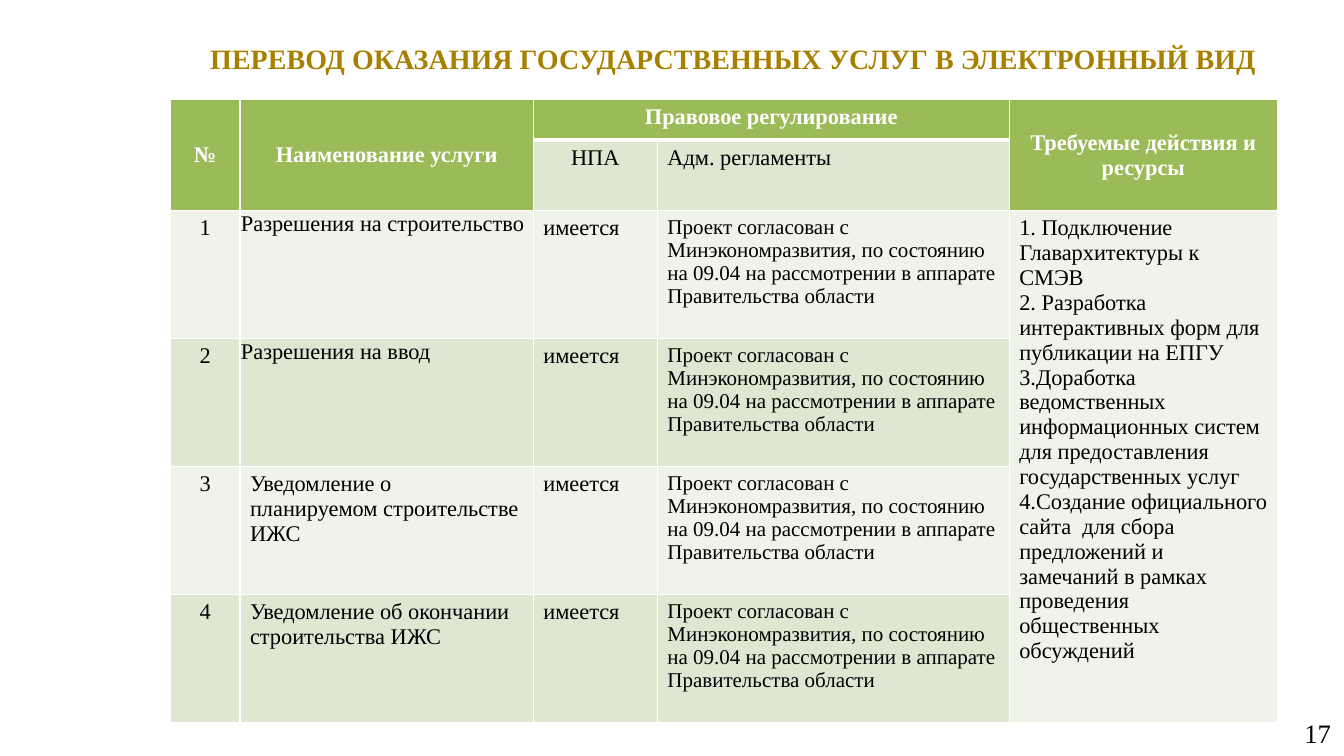
from dataclasses import dataclass

from lxml import etree
from pptx import Presentation
from pptx.dml.color import RGBColor
from pptx.enum.text import MSO_ANCHOR, PP_ALIGN
from pptx.oxml.ns import qn
from pptx.util import Inches, Pt

LEFT, CENTER, RIGHT = PP_ALIGN.LEFT, PP_ALIGN.CENTER, PP_ALIGN.RIGHT
TOP, MIDDLE = MSO_ANCHOR.TOP, MSO_ANCHOR.MIDDLE


@dataclass(frozen=True)
class Theme:
    font: str = "Times New Roman"
    gold: str = "A88000"
    green: str = "9BBB59"
    light: str = "EFF3EA"
    dark: str = "DEE7D1"
    white: str = "FFFFFF"
    black: str = "000000"
    title: int = 20
    number: int = 19
    body: int = 16
    small: int = 15
    rule: int = 1
    thick_rule: int = 3


T = Theme()
WIDTH, HEIGHT = 13.33, 7.5
COLUMNS = [0.69, 2.91, 1.23, 3.49, 2.66]
HEADER_ROWS = [0.4, 0.7]
SERVICE_ROW = 1.27
TIGHT = (0.01, 0.01, 0.01, 0)
PAD = (0.1, 0.05, 0.1, 0.05)

# Service name and its cell margins
SERVICES = [
    ("Разрешения на строительство", TIGHT),
    ("Разрешения на ввод", TIGHT),
    ("Уведомление о планируемом строительстве ИЖС", PAD),
    ("Уведомление об окончании строительства ИЖС", PAD),
]
AVAILABLE = "имеется"
STATUS = ("Проект согласован с Минэкономразвития, по состоянию на 09.04 "
          "на рассмотрении в аппарате Правительства области")
ACTIONS = [
    "1. Подключение Главархитектуры к СМЭВ",
    "2. Разработка интерактивных форм для публикации на ЕПГУ",
    "3.Доработка  ведомственных информационных систем для предоставления "
    "государственных услуг",
    "4.Создание официального сайта  для сбора предложений и замечаний "
    "в рамках проведения общественных обсуждений",
]


def write(tf, lines, size, color, align=LEFT, bold=False):
    tf.word_wrap = True
    for i, line in enumerate(lines):
        p = tf.paragraphs[0] if i == 0 else tf.add_paragraph()
        p.text = line
        p.alignment = align
        p.font.name, p.font.size, p.font.bold = T.font, Pt(size), bold
        p.font.color.rgb = RGBColor.from_string(color)


def set_margins(target, margins):
    (target.margin_left, target.margin_top,
     target.margin_right, target.margin_bottom) = map(Inches, margins)


def add_text(slide, box, text, size, color, align, bold=False):
    tf = slide.shapes.add_textbox(*map(Inches, box)).text_frame
    set_margins(tf, (0.13, 0.07, 0.13, 0.07))
    tf.vertical_anchor = MIDDLE
    write(tf, [text], size, color, align, bold)


def set_borders(cell, bottom):
    tc_pr = cell._tc.get_or_add_tcPr()
    widths = {"a:lnL": T.rule, "a:lnR": T.rule, "a:lnT": T.rule, "a:lnB": bottom}
    for i, (tag, width) in enumerate(widths.items()):
        ln = etree.Element(qn(tag), w=str(Pt(width)))
        fill = etree.SubElement(ln, qn("a:solidFill"))
        etree.SubElement(fill, qn("a:srgbClr"), val=T.white)
        tc_pr.insert(i, ln)


def fill_cell(cell, lines, fill, align=LEFT, size=T.body, margins=PAD):
    cell.fill.solid()
    cell.fill.fore_color.rgb = RGBColor.from_string(fill)
    set_margins(cell, margins)
    cell.vertical_anchor = TOP
    write(cell.text_frame, lines, size, T.black, align)


def head_cell(table, first, last, text, anchor=MIDDLE):
    cell = table.cell(*first)
    cell.merge(table.cell(*last))
    fill_cell(cell, [text], T.green)
    cell.vertical_anchor = anchor
    write(cell.text_frame, [text], T.body, T.white, CENTER, True)
    for row in range(first[0], last[0] + 1):
        for col in range(first[1], last[1] + 1):
            set_borders(table.cell(row, col), T.thick_rule if row == last[0] else T.rule)


def add_services_table(slide, left, top):
    heights = HEADER_ROWS + [SERVICE_ROW] * len(SERVICES)
    box = map(Inches, (left, top, sum(COLUMNS), sum(heights)))
    table = slide.shapes.add_table(len(heights), len(COLUMNS), *box).table
    table.first_row = table.horz_banding = False
    for column, width in zip(table.columns, COLUMNS):
        column.width = Inches(width)
    for row, height in zip(table.rows, heights):
        row.height = Inches(height)

    # Header
    head_cell(table, (0, 0), (1, 0), "№")
    head_cell(table, (0, 1), (1, 1), "Наименование услуги")
    head_cell(table, (0, 2), (0, 3), "Правовое регулирование", TOP)
    head_cell(table, (0, 4), (1, 4), "Требуемые действия и ресурсы")
    fill_cell(table.cell(1, 2), ["НПА"], T.dark, CENTER)
    fill_cell(table.cell(1, 3), ["Адм. регламенты"], T.dark)

    # Services
    start = len(HEADER_ROWS)
    for i, (name, margins) in enumerate(SERVICES):
        fill = T.dark if i % 2 else T.light
        cells = table.rows[start + i].cells
        fill_cell(cells[0], [str(i + 1)], fill, CENTER)
        fill_cell(cells[1], [name], fill, margins=margins)
        fill_cell(cells[2], [AVAILABLE], fill)
        fill_cell(cells[3], [STATUS], fill, size=T.small)

    # Actions shared by all services
    actions = table.cell(start, 4)
    actions.merge(table.cell(len(heights) - 1, 4))
    fill_cell(actions, ACTIONS, T.light)

    # White rules below the header
    for row in range(1, len(heights)):
        for col in range(len(COLUMNS)):
            if row >= start or col in (2, 3):
                set_borders(table.cell(row, col), T.rule)


def main():
    prs = Presentation()
    prs.slide_width, prs.slide_height = Inches(WIDTH), Inches(HEIGHT)
    slide = prs.slides.add_slide(prs.slide_layouts[6])
    add_text(slide, (WIDTH - 3.11, HEIGHT - 0.43, 3.11, 0.4), "17",
             T.number, T.black, RIGHT)
    add_text(slide, (1.55, 0.08, 11.44, 1),
             "ПЕРЕВОД ОКАЗАНИЯ ГОСУДАРСТВЕННЫХ УСЛУГ В ЭЛЕКТРОННЫЙ ВИД",
             T.title, T.gold, CENTER, True)
    add_services_table(slide, 1.69, 0.99)
    prs.save("out.pptx")


if __name__ == "__main__":
    main()
